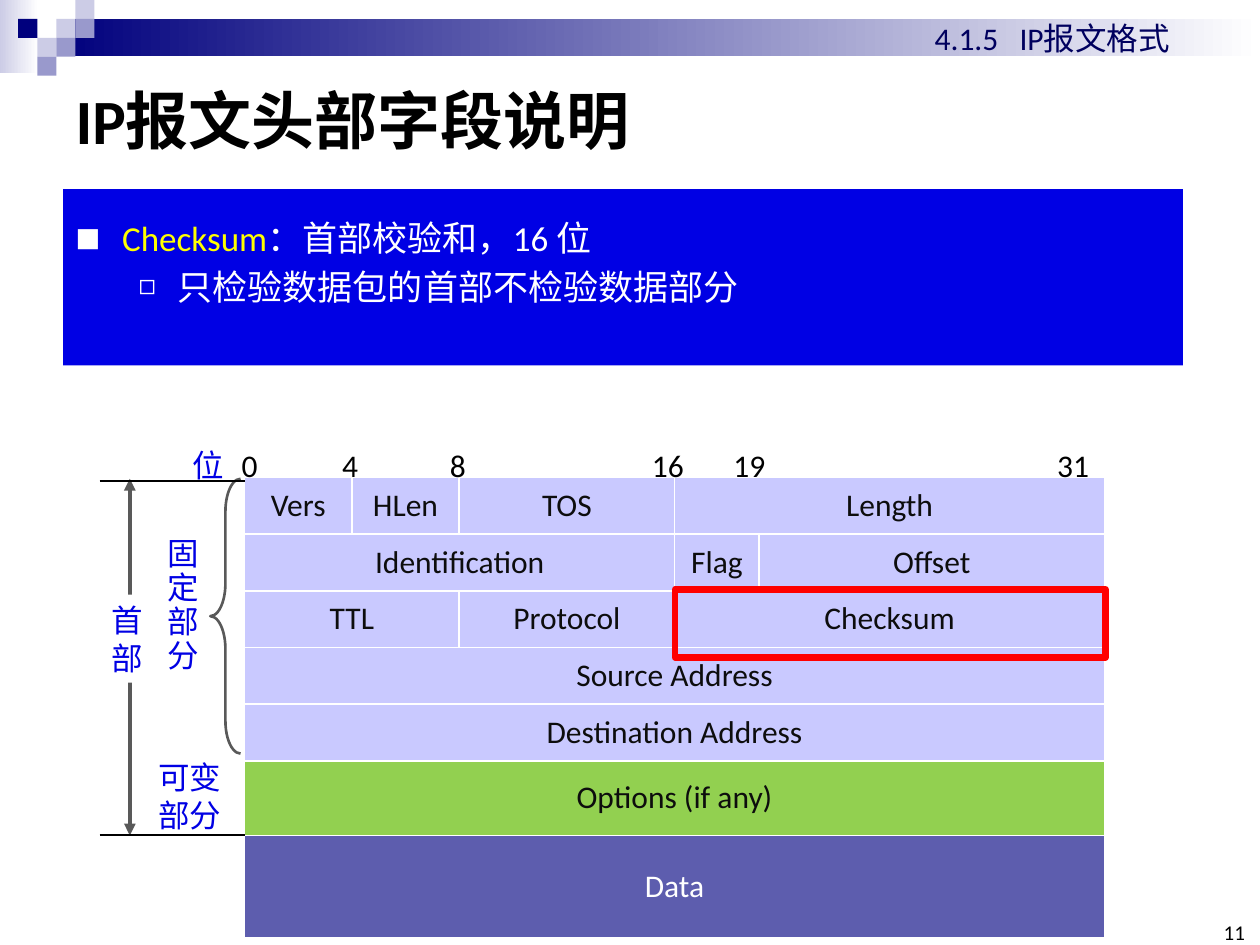
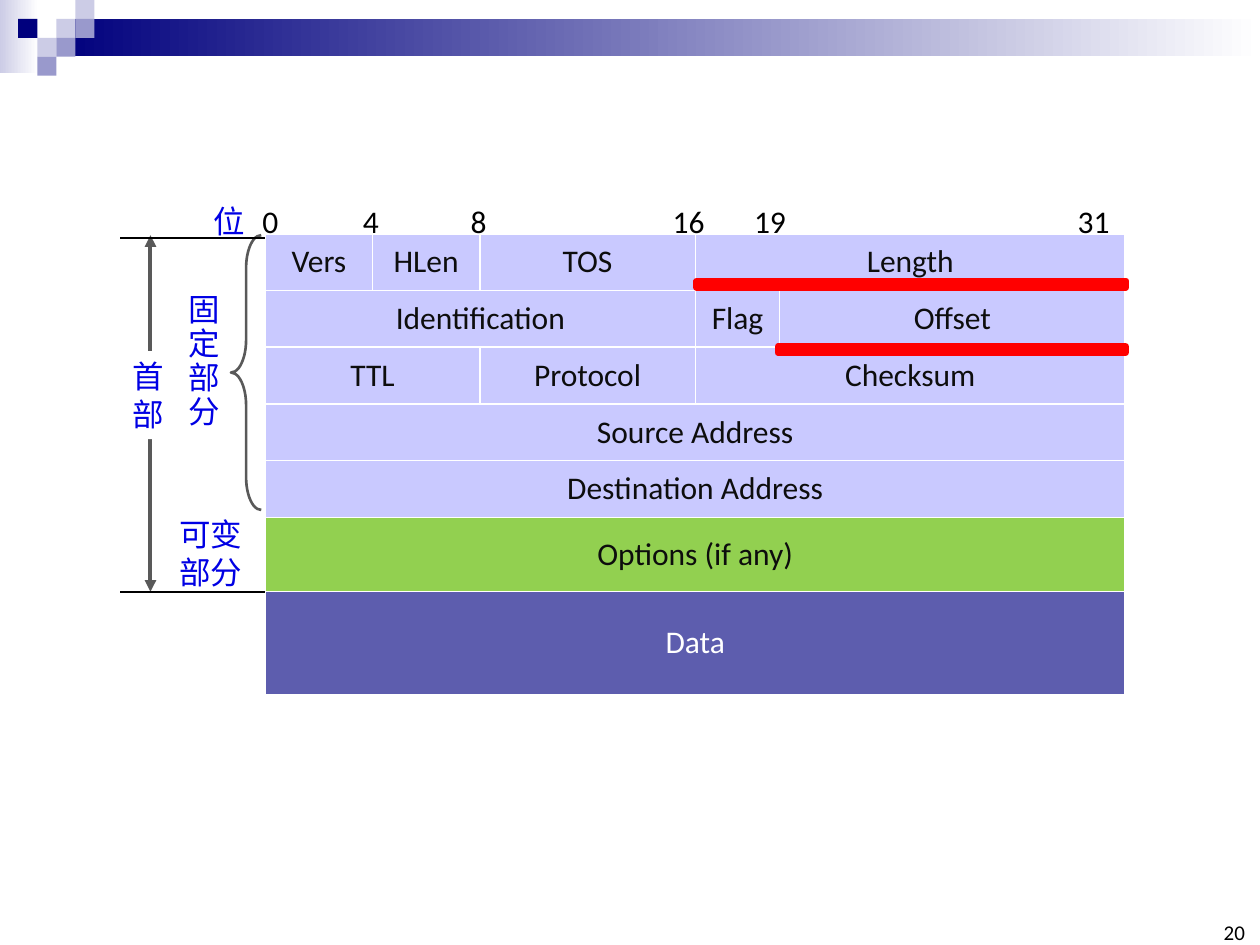
from dataclasses import dataclass

from lxml import etree
from pptx import Presentation
from pptx.dml.color import RGBColor
from pptx.enum.shapes import MSO_CONNECTOR, MSO_SHAPE
from pptx.enum.text import MSO_ANCHOR, MSO_AUTO_SIZE, PP_ALIGN
from pptx.oxml.ns import qn
from pptx.util import Pt


@dataclass(frozen=True)
class Theme:
    # Colours
    navy: str = "00007D"
    middle: str = "9999CC"
    pale: str = "CCCCE6"
    white: str = "FFFFFF"
    black: str = "000000"
    section: str = "00005E"
    blue: str = "0000E4"
    yellow: str = "FFFF00"
    red: str = "FF0000"
    grey: str = "595959"
    cell_text: str = "0D0D0D"
    field: str = "C9C9FF"
    options: str = "92D050"
    data: str = "5D5DAE"
    # Fonts and sizes
    font: str = "Calibri"
    chinese_font: str = "Noto Sans CJK SC"
    title_size: float = 36
    body_size: float = 20
    label_size: float = 18
    number_size: float = 12


THEME = Theme()

# Packet header: each row has its height, fill, text colour and (text, columns) fields
COLUMNS = [61.3, 61.3, 123.2, 48.2, 197.4]
PLAIN = (32.4, THEME.field, THEME.cell_text)
ROWS = [
    (*PLAIN, [("Vers", 1), ("HLen", 1), ("TOS", 1), ("Length", 2)]),
    (*PLAIN, [("Identification", 3), ("Flag", 1), ("Offset", 1)]),
    (*PLAIN, [("TTL", 2), ("Protocol", 1), ("Checksum", 2)]),
    (*PLAIN, [("Source Address", 5)]),
    (*PLAIN, [("Destination Address", 5)]),
    (42.5, THEME.options, THEME.cell_text, [("Options (if any)", 5)]),
    (58.7, THEME.data, THEME.white, [("Data", 5)]),
]
BIT_TABS = [57.5, 119, 234.5, 281, 466]

# Master tiles: column, row, colour
TILES = [
    (2, 1, THEME.pale), (3, 0, THEME.pale), (3, 1, THEME.middle),
    (1, 2, THEME.pale), (0, 1, THEME.navy), (2, 2, THEME.middle),
    (1, 3, THEME.middle),
]


def color(value):
    return RGBColor.from_string(value)


def points(values):
    return [Pt(value) for value in values]


def apply(target, **formats):
    for name, value in formats.items():
        setattr(target, name, value)


def add_xml(parent, tag, **attributes):
    return etree.SubElement(parent, qn(tag), attributes)


class Builder:
    def __init__(self, theme):
        self.theme = theme
        self.deck = Presentation()
        apply(self.deck, slide_width=Pt(720), slide_height=Pt(540))
        self.page = None

    def new_page(self, layout, number):
        self.page = self.deck.slides.add_slide(self.deck.slide_layouts[layout])
        box = self.text([694.8, 527.8, 16.6, 12.2], [number], size=self.theme.number_size,
                        fill=self.theme.black, align=PP_ALIGN.RIGHT)
        apply(box.text_frame, margin_left=0, margin_right=0, margin_top=0,
              margin_bottom=0, vertical_anchor=MSO_ANCHOR.BOTTOM, word_wrap=False)

    # Text
    def span(self, para, text, size, fill, font=None, bold=False):
        span = para.add_run()
        span.text = text
        font = font or self.theme.font
        apply(span.font, size=Pt(size), name=font, bold=bold)
        span.font.color.rgb = color(fill)
        add_xml(span.font._element, "a:ea", typeface=font)

    def set_lines(self, frame, lines, size, fill, font=None, bold=False,
                  tabs=(), align=PP_ALIGN.LEFT, spacing=None):
        for index, line in enumerate(lines):
            para = frame.paragraphs[0] if index == 0 else frame.add_paragraph()
            if tabs:
                stops = add_xml(para._p.get_or_add_pPr(), "a:tabLst")
                for stop in tabs:
                    add_xml(stops, "a:tab", pos=str(Pt(stop)), algn="l")
            apply(para, alignment=align, line_spacing=spacing)
            self.span(para, line, size, fill, font, bold)

    def text(self, place, lines, size=THEME.label_size, fill=THEME.blue,
             wrap=True, background=None, **formats):
        box = self.page.shapes.add_textbox(*points(place))
        box.text_frame.word_wrap = wrap
        if background:
            box.fill.solid()
            box.fill.fore_color.rgb = color(background)
        self.set_lines(box.text_frame, lines, size, fill, **formats)
        return box

    def place(self, box, place):
        apply(box, **dict(zip(("left", "top", "width", "height"), points(place))))

    def title(self, text):
        box = self.page.shapes.title
        self.place(box, [36, 36, 648, 64])
        apply(box.text_frame, vertical_anchor=MSO_ANCHOR.MIDDLE, auto_size=MSO_AUTO_SIZE.NONE)
        self.set_lines(box.text_frame, [text], self.theme.title_size, self.theme.black,
                       bold=True)

    def body(self, place, items):
        box = self.page.placeholders[1]
        self.place(box, place)
        box.fill.solid()
        box.fill.fore_color.rgb = color(self.theme.blue)
        frame = box.text_frame
        apply(frame, auto_size=MSO_AUTO_SIZE.NONE, vertical_anchor=MSO_ANCHOR.TOP)
        for index, (spans, bullet, formats) in enumerate(items):
            para = frame.paragraphs[0] if index == 0 else frame.add_paragraph()
            self.bullet(para, *bullet)
            apply(para, alignment=PP_ALIGN.LEFT, **formats)
            for text, fill in spans:
                self.span(para, text, self.theme.body_size, fill)

    def bullet(self, para, symbol, percent, margin, hanging):
        props = para._p.get_or_add_pPr()
        props.set("marL", str(Pt(margin)))
        props.set("indent", str(-Pt(hanging)))
        add_xml(add_xml(props, "a:buClr"), "a:srgbClr", val=self.theme.white)
        add_xml(props, "a:buSzPct", val=str(percent * 1000))
        add_xml(props, "a:buFont", typeface=self.theme.font)
        add_xml(props, "a:buChar", char=symbol)

    # Shapes and lines
    def shape(self, kind, place, fill=None, line=None, width=1):
        box = self.page.shapes.add_shape(kind, *points(place))
        box.shadow.inherit = False
        if isinstance(fill, tuple):
            box.fill.gradient()
            box.fill.gradient_angle = 0
            for stop, position, value in zip(box.fill.gradient_stops, (0, 1), fill):
                stop.position = position
                stop.color.rgb = color(value)
        elif fill:
            box.fill.solid()
            box.fill.fore_color.rgb = color(fill)
        else:
            box.fill.background()
        if line:
            box.line.color.rgb = color(line)
            box.line.width = Pt(width)
        else:
            box.line.fill.background()
        return box

    def line(self, ends, fill, width, arrows=False):
        link = self.page.shapes.add_connector(MSO_CONNECTOR.STRAIGHT, *points(ends))
        link.line.color.rgb = color(fill)
        link.line.width = Pt(width)
        if arrows:
            for tag in ("a:headEnd", "a:tailEnd"):
                add_xml(link._element.spPr.find(qn("a:ln")), tag, type="triangle")
        add_xml(link._element.spPr, "a:effectLst")

    def master_band(self):
        theme = self.theme
        rect = MSO_SHAPE.RECTANGLE
        parts = [self.shape(rect, [0, 0, 22, 41.8], (theme.pale, theme.white)),
                 self.shape(rect, [32.4, 10.8, 687.6, 21.4], (theme.navy, theme.white))]
        for column, row, fill in TILES:
            place = [10.4 + 10.9 * column, 10.8 * row, 10.9, 10.8]
            parts.append(self.shape(rect, place, fill))
        # Hand the parts over to the master, behind its placeholders
        tree = self.deck.slide_master.shapes._spTree
        for index, part in enumerate(parts):
            tree.insert(2 + index, part._element)

    # Table
    def border(self, cell):
        props = cell._tc.get_or_add_tcPr()
        for index, side in enumerate(("a:lnL", "a:lnR", "a:lnT", "a:lnB")):
            edge = etree.Element(qn(side), w=str(Pt(1)))
            add_xml(add_xml(edge, "a:solidFill"), "a:srgbClr", val=self.theme.white)
            props.insert(index, edge)

    def header_table(self, x, y):
        heights = [row[0] for row in ROWS]
        place = points([x, y, sum(COLUMNS), sum(heights)])
        table = self.page.shapes.add_table(len(ROWS), len(COLUMNS), *place).table
        apply(table, first_row=False, horz_banding=False)
        for column, width in zip(table.columns, COLUMNS):
            column.width = Pt(width)
        for index, (height, fill, ink, fields) in enumerate(ROWS):
            table.rows[index].height = Pt(height)
            for cell in table.rows[index].cells:
                cell.fill.solid()
                cell.fill.fore_color.rgb = color(fill)
                self.border(cell)
            start = 0
            for text, columns in fields:
                cell = table.cell(index, start)
                if columns > 1:
                    cell.merge(table.cell(index, start + columns - 1))
                cell.vertical_anchor = MSO_ANCHOR.MIDDLE
                self.set_lines(cell.text_frame, [text], self.theme.label_size, ink,
                               align=PP_ALIGN.CENTER)
                start += columns

    # Whole packet diagram, laid out from the table's top left corner
    def packet(self, x, y, marks):
        theme = self.theme
        self.header_table(x, y)
        self.text([x - 51.2, y + 31, 32.4, 85.7], "固定部分", wrap=False, spacing=0.9)
        self.text([x - 56.3, y + 157, 50.4, 50.4], ["可变", "部分"], wrap=False,
                  font=theme.chinese_font, spacing=Pt(21.6))
        self.text([x - 8.8, y - 21.5, 512, 28.8], ["0\t4\t8\t16\t19\t31"],
                  fill=theme.black, tabs=BIT_TABS)
        self.text([x - 36.8, y - 21.5, 32.4, 28.8], ["位"], wrap=False)
        self.line([x - 65.6, y + 0.8, x - 65.6, y + 204.6], theme.grey, 2.25, arrows=True)
        self.text([x - 82.9, y + 67, 32.4, 50.4], "首部", wrap=False, background=theme.white)
        brace = self.shape(MSO_SHAPE.LEFT_BRACE, [x - 19.6, y + 0.8, 17.3, 157],
                           line=theme.grey, width=1.5)
        brace.adjustments[0] = 1.08
        for level in (y + 2.2, y + 204.5):
            self.line([x - 82.9, level, x, level], theme.black, 1.25)
        for left, top, width, height in marks:
            self.shape(MSO_SHAPE.RECTANGLE, [x + left, y + top, width, height],
                       line=theme.red, width=3.75)


def main():
    builder = Builder(THEME)

    # Checksum field
    builder.new_page(1, "11")
    builder.master_band()
    builder.title("IP报文头部字段说明")
    builder.text([527, 7.2, 165, 28.8], ["4.1.5\tIP报文格式"], fill=THEME.section, tabs=[48.5])
    builder.body([36, 108, 640, 100.8], [
        ([("Checksum", THEME.yellow), ("：首部校验和，16 位", THEME.white)],
         ("■", 75, 26.6, 26.6), dict(line_spacing=1.5, space_before=Pt(0))),
        ([("只检验数据包的首部不检验数据部分", THEME.white)],
         ("◻", 80, 58.3, 22.3), dict(level=1, space_before=Pt(4))),
    ])
    builder.packet(139.8, 272.8, [(246, 64, 246, 38.9)])

    # Length and offset fields
    builder.new_page(6, "20")
    builder.packet(151.6, 133.6, [(293, 64.4, 198.7, 3.6), (246.4, 27, 245.5, 3.6)])

    builder.deck.save("out.pptx")


if __name__ == "__main__":
    main()
